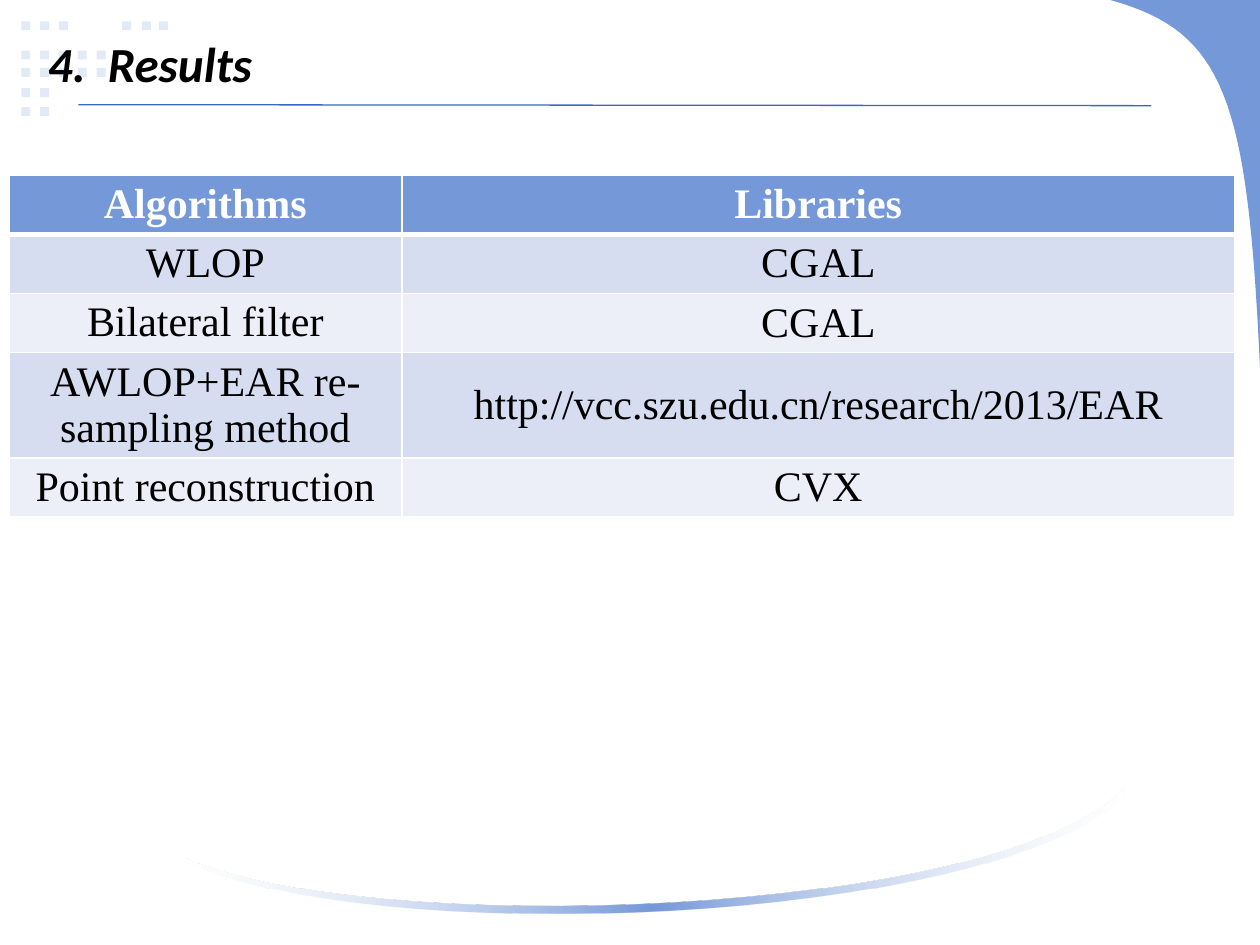
from lxml import etree
from pptx import Presentation
from pptx.dml.color import RGBColor
from pptx.enum.shapes import MSO_CONNECTOR as Connector, MSO_SHAPE as Shape
from pptx.enum.text import MSO_ANCHOR as Anchor, PP_ALIGN as Align
from pptx.oxml import parse_xml
from pptx.oxml.ns import nsdecls, qn
from pptx.util import Cm, Pt

TITLE = "4.  Results"
ROWS = [
    ("Algorithms", "Libraries"),
    ("WLOP", "CGAL"),
    ("Bilateral filter", "CGAL"),
    ("AWLOP+EAR re-sampling method", "http://vcc.szu.edu.cn/research/2013/EAR"),
    ("Point reconstruction", "CVX"),
]
COLUMN_WIDTHS = [7.92, 16.79]
ROW_HEIGHTS = [1.18, 1.18, 1.18, 2.13, 1.18]

BLUE, PALE, WHITE, BLACK = "7598D9", "E3EAF7", "FFFFFF", "000000"
BANDS = ["D6DDF1", "ECEFF8"]

DOT_SIZE, DOT_LEFT, DOT_STEP = 0.18, 0.43, 0.38
DOT_ROWS = [
    (0.43, [0, 1, 2, 5.35, 6.4, 7.3]),
    (1.02, range(5)),
    (1.37, range(5)),
    (1.78, range(2)),
    (2.16, range(2)),
]

CORNER = [(25.4, 7.39), (25.15, 1.98), (24.69, 0.64), (22.38, 0)]
SWOOSH_LOWER = [(22.66, 16.05), (19.99, 18.69), (7.21, 19.15), (3.61, 17.32)]
SWOOSH_UPPER = [(3.61, 17.25), (7.21, 18.95), (20.19, 18.52), (22.66, 15.88)]


def color(value):
    return RGBColor.from_string(value)


def paint(shape, fill):
    shape.shadow.inherit = False
    shape.fill.solid()
    shape.fill.fore_color.rgb = color(fill)
    shape.line.fill.background()


def write(frame, text, font="Times New Roman", size=24, ink=BLACK,
          bold=False, italic=False, align=Align.CENTER):
    paragraph = frame.paragraphs[0]
    paragraph.alignment = align
    run = paragraph.add_run()
    run.text = text
    run.font.name = font
    run.font.size = Pt(size)
    run.font.bold = bold
    run.font.italic = italic
    run.font.color.rgb = color(ink)


def curve(controls, steps=32):
    points = []
    for step in range(steps + 1):
        t = step / steps
        weights = [(1 - t) ** 3, 3 * t * (1 - t) ** 2, 3 * t * t * (1 - t), t ** 3]
        points.append(tuple(
            sum(weight * point[axis] for weight, point in zip(weights, controls))
            for axis in (0, 1)))
    return points


def add_outline(slide, points, fill):
    start, *rest = [(Cm(x), Cm(y)) for x, y in points]
    builder = slide.shapes.build_freeform(*start)
    builder.add_line_segments(rest, close=True)
    shape = builder.convert_to_shape()
    paint(shape, fill)
    return shape


def fade_ends(shape, middle, ends):
    stops = "".join(
        f'<a:gs pos="{position}"><a:srgbClr val="{value}">'
        f'<a:alpha val="{alpha}"/></a:srgbClr></a:gs>'
        for position, value, alpha in [
            (0, ends, 30000), (50000, middle, 100000), (100000, ends, 30000)])
    gradient = parse_xml(
        f'<a:gradFill {nsdecls("a")} rotWithShape="1"><a:gsLst>{stops}</a:gsLst>'
        '<a:lin ang="0" scaled="1"/></a:gradFill>')
    properties = shape.element.spPr
    properties.replace(properties.find(qn("a:solidFill")), gradient)


def set_borders(cell, top=1, bottom=1):
    properties = cell._tc.get_or_add_tcPr()
    sides = [("lnL", 1), ("lnR", 1), ("lnT", top), ("lnB", bottom)]
    for index, (side, width) in enumerate(sides):
        properties.insert(index, parse_xml(
            f'<a:{side} {nsdecls("a")} w="{Pt(width)}"><a:solidFill>'
            f'<a:srgbClr val="{WHITE}"/></a:solidFill></a:{side}>'))


def add_decoration(slide):
    for top, columns in DOT_ROWS:
        for column in columns:
            dot = slide.shapes.add_shape(
                Shape.RECTANGLE, Cm(DOT_LEFT + column * DOT_STEP), Cm(top),
                Cm(DOT_SIZE), Cm(DOT_SIZE))
            paint(dot, PALE)
    add_outline(slide, [(25.4, 0)] + curve(CORNER), BLUE)
    swoosh = add_outline(slide, curve(SWOOSH_LOWER) + curve(SWOOSH_UPPER), BLUE)
    fade_ends(swoosh, BLUE, WHITE)
    rule = slide.shapes.add_connector(
        Connector.STRAIGHT, Cm(1.58), Cm(2.11), Cm(23.21), Cm(2.13))
    rule.line.color.rgb = color("3668C4")
    rule.line.width = Pt(0.75)
    etree.SubElement(rule.element.spPr, qn("a:effectLst"))


def add_title(slide):
    title = slide.shapes.title
    title.left, title.top, title.width, title.height = Cm(0.71), Cm(0.41), Cm(20.12), Cm(1.7)
    title.text_frame.vertical_anchor = Anchor.MIDDLE
    write(title.text_frame, TITLE, font="Calibri", size=28,
          bold=True, italic=True, align=Align.LEFT)
    title.element.getparent().append(title.element)


def add_libraries_table(slide):
    table = slide.shapes.add_table(
        len(ROWS), len(COLUMN_WIDTHS), Cm(0.18), Cm(3.53),
        Cm(sum(COLUMN_WIDTHS)), Cm(sum(ROW_HEIGHTS))).table
    for column, width in zip(table.columns, COLUMN_WIDTHS):
        column.width = Cm(width)
    for index, (texts, height) in enumerate(zip(ROWS, ROW_HEIGHTS)):
        table.rows[index].height = Cm(height)
        header = index == 0
        for position, text in enumerate(texts):
            cell = table.cell(index, position)
            cell.fill.solid()
            cell.fill.fore_color.rgb = color(BLUE if header else BANDS[(index - 1) % 2])
            cell.vertical_anchor = Anchor.MIDDLE if position and not header else Anchor.TOP
            set_borders(cell, top=3 if index == 1 else 1, bottom=3 if header else 1)
            write(cell.text_frame, text, ink=WHITE if header else BLACK, bold=header)


def main():
    presentation = Presentation()
    presentation.slide_width, presentation.slide_height = Cm(25.4), Cm(19.05)
    slide = presentation.slides.add_slide(presentation.slide_layouts[5])
    slide.background.fill.solid()
    slide.background.fill.fore_color.rgb = color(WHITE)
    add_decoration(slide)
    add_title(slide)
    add_libraries_table(slide)
    presentation.save("out.pptx")


if __name__ == "__main__":
    main()
